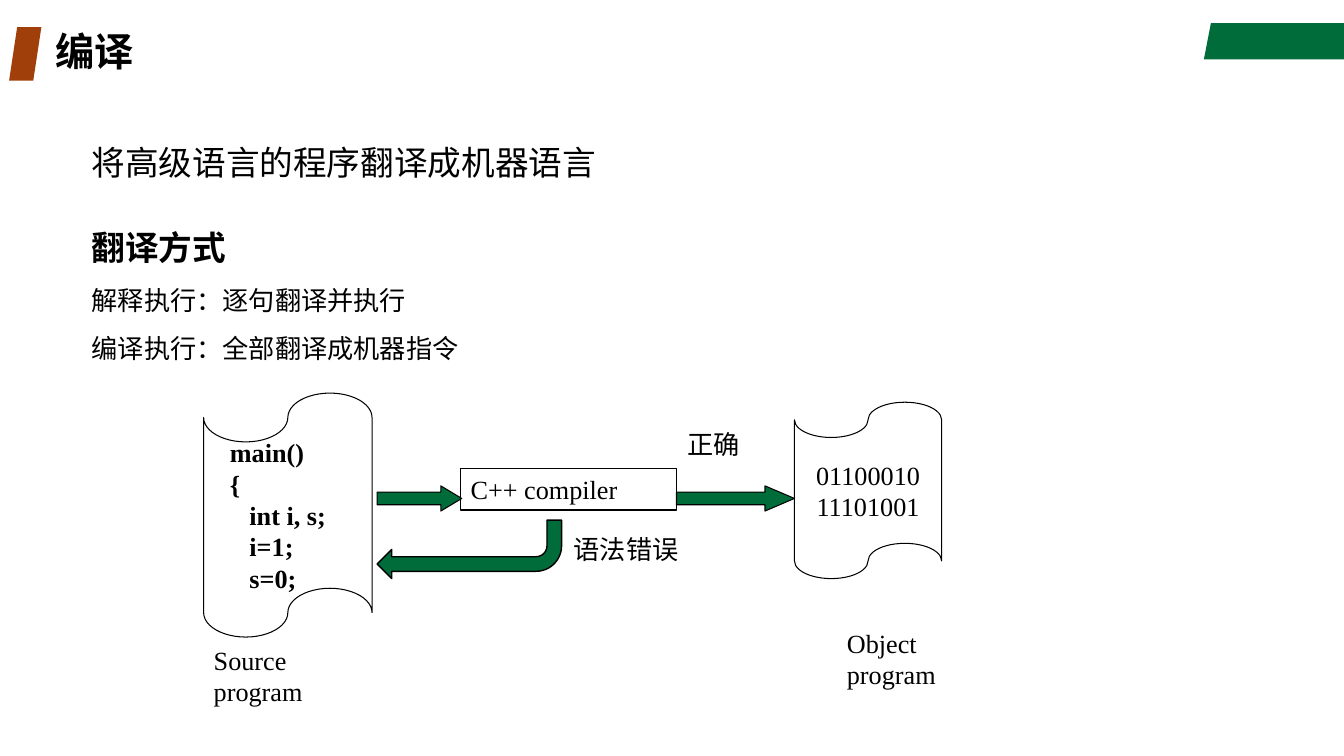
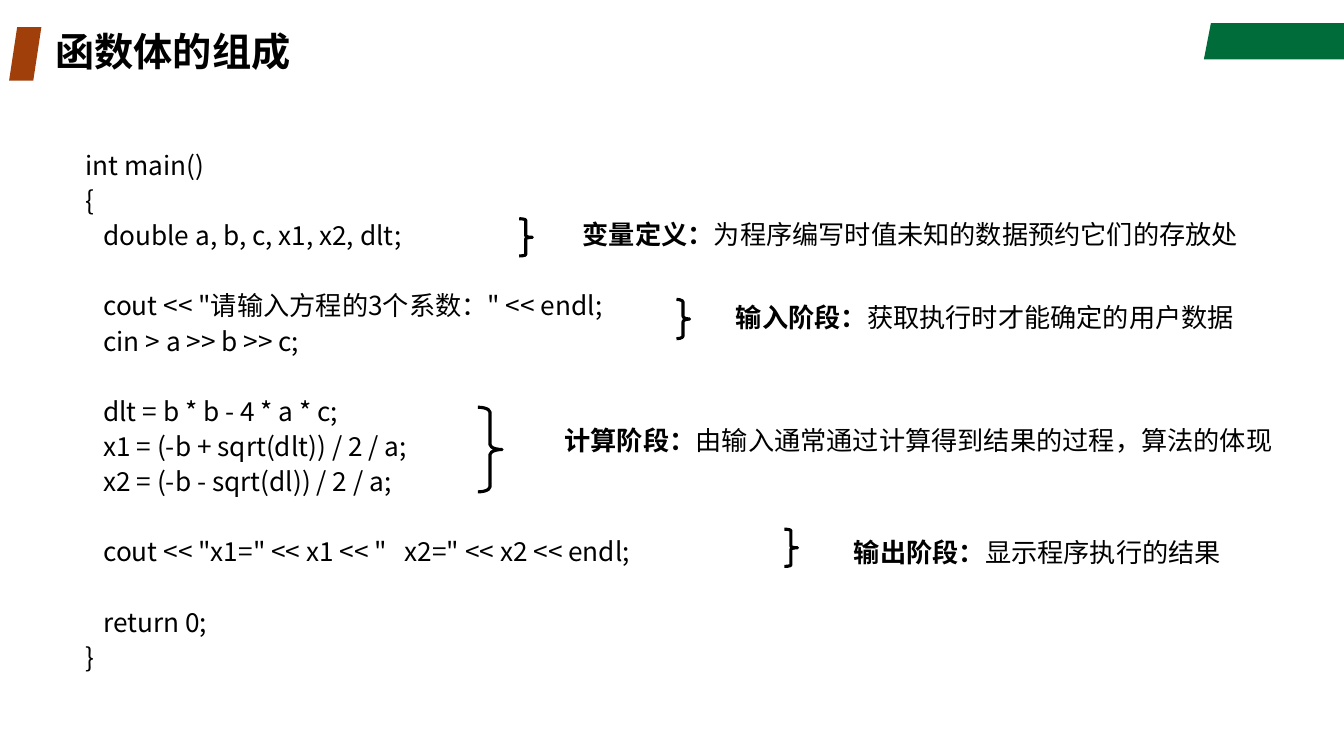
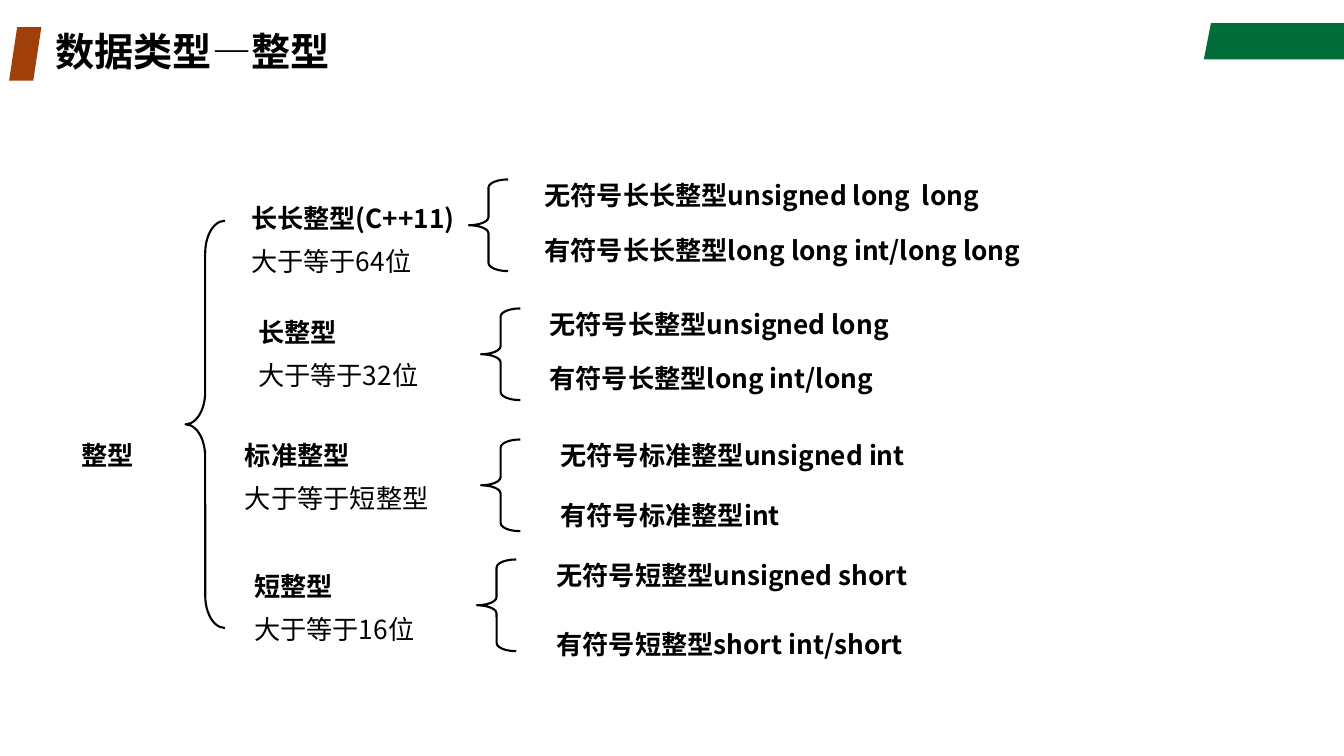
from dataclasses import dataclass

from lxml import etree
from pptx import Presentation
from pptx import util as u
from pptx.dml import color
from pptx.enum import shapes, text
from pptx.oxml import ns

SANS = "Noto Sans CJK SC"
SERIF = "Times New Roman"
BLACK = "000000"
GREEN = "006C39"
RUST = "A13F0B"
BODY_SIZE = 18.7
HEADING_SIZE = 24
Shape = shapes.MSO_SHAPE
Align = text.PP_ALIGN
Anchor = text.MSO_ANCHOR


@dataclass
class Box:
    left: float
    top: float
    width: float
    height: float

    def lengths(self):
        """Return the four sides as lengths."""
        return tuple(u.Inches(side) for side in (self.left, self.top, self.width, self.height))


@dataclass
class Line:
    text: str
    bold: bool = False
    tail: str = ""
    before: float = 0
    size: float = BODY_SIZE
    spacing: float | None = None


@dataclass
class Stage:
    label: str
    detail: str
    left: float
    top: float
    brace: Box
    curve: float


@dataclass
class IntegerKind:
    name: str
    size: str
    left: float
    top: float
    brace_left: float
    brace_top: float
    variants_left: float
    unsigned: str
    signed: str
    signed_top: float


STAGES = [
    Stage("变量定义：", "为程序编写时值未知的数据预约它们的存放处", 5.78, 2.17,
          Box(5.15, 2.17, 0.13, 0.37), 0.113),
    Stage("输入阶段：", "获取执行时才能确定的用户数据", 7.3, 2.99,
          Box(6.71, 2.97, 0.13, 0.39), 0.205),
    Stage("计算阶段：", "由输入通常通过计算得到结果的过程，算法的体现", 5.6, 4.21,
          Box(4.74, 4.04, 0.24, 0.84), 0.205),
    Stage("输出阶段：", "显示程序执行的结果", 8.47, 5.32,
          Box(7.78, 5.25, 0.13, 0.37), 0.113),
]

KINDS = [
    IntegerKind("长长整型(C++11)", "大于等于64位", 2.49, 2.01, 4.65, 1.78, 5.4,
                "无符号长长整型unsigned long  long", "有符号长长整型long long int/long long", 2.32),
    IntegerKind("长整型", "大于等于32位", 2.56, 3.14, 4.77, 3.06, 5.45,
                "无符号长整型unsigned long", "有符号长整型long int/long", 3.59),
    IntegerKind("标准整型", "大于等于短整型", 2.43, 4.36, 4.77, 4.36, 5.56,
                "无符号标准整型unsigned int", "有符号标准整型int", 4.95),
    IntegerKind("短整型", "大于等于16位", 2.52, 5.66, 4.73, 5.55, 5.52,
                "无符号短整型unsigned short", "有符号短整型short int/short", 6.23),
]

PROGRAM = """int main()
{
   double a, b, c, x1, x2, dlt;

   cout << "请输入方程的3个系数：" << endl;
   cin > a >> b >> c;

   dlt = b * b - 4 * a * c;
   x1 = (-b + sqrt(dlt)) / 2 / a;
   x2 = (-b - sqrt(dl)) / 2 / a;

   cout << "x1=" << x1 << "   x2=" << x2 << endl;

   return 0;
}"""


def rgb(value: str) -> color.RGBColor:
    """Turn a hex string into a colour."""
    return color.RGBColor.from_string(value)


def style_paragraph(paragraph, size: float, bold: bool | None, font_name: str) -> None:
    """Set the font of a whole paragraph, East Asian letters included."""
    font = paragraph.font
    font.size = u.Pt(size)
    font.bold = bold
    font.name = font_name
    font.color.rgb = rgb(BLACK)
    defaults = paragraph._p.pPr.find(ns.qn("a:defRPr"))
    etree.SubElement(defaults, ns.qn("a:ea"), typeface=font_name)


def write_lines(frame, lines: list[Line], font_name: str = SANS, align=Align.LEFT,
                anchor=Anchor.TOP, inset: float = 0) -> None:
    """Fill a text frame with one paragraph per line."""
    frame.word_wrap = True
    frame.auto_size = text.MSO_AUTO_SIZE.NONE
    frame.vertical_anchor = anchor
    frame.margin_left = u.Inches(inset)
    frame.margin_right = frame.margin_top = frame.margin_bottom = 0
    for index, line in enumerate(lines):
        paragraph = frame.add_paragraph() if index else frame.paragraphs[0]
        paragraph.alignment = align
        if line.before and index:
            paragraph.space_before = u.Pt(line.before)
        if line.spacing:
            paragraph.line_spacing = line.spacing
        head = paragraph.add_run()
        head.text = line.text
        if line.tail:
            head.font.bold = line.bold
            paragraph.add_run().text = line.tail
        style_paragraph(paragraph, line.size, line.bold and not line.tail, font_name)


def add_text(slide, box: Box, lines: list[Line], font_name: str = SANS) -> None:
    """Add a text box without insets."""
    write_lines(slide.shapes.add_textbox(*box.lengths()).text_frame, lines, font_name)


def paint(shape, fill: str | None, line: str | None = None, weight: float = 0.75) -> None:
    """Set fill and outline and remove the shadow."""
    shape.shadow.inherit = False
    if fill:
        shape.fill.solid()
        shape.fill.fore_color.rgb = rgb(fill)
    else:
        shape.fill.background()
    if line:
        shape.line.color.rgb = rgb(line)
        shape.line.width = u.Pt(weight)
    else:
        shape.line.fill.background()


def add_figure(slide, kind, box: Box, fill: str | None = None, line: str | None = BLACK,
               weight: float = 0.75, adjustments: tuple[float, ...] = ()):
    """Add a painted preset shape."""
    shape = slide.shapes.add_shape(kind, *box.lengths())
    for index, value in enumerate(adjustments):
        shape.adjustments[index] = value
    paint(shape, fill, line, weight)
    return shape


def add_titled_slide(presentation, title: str):
    """Add a slide with its title, corner band and title mark."""
    slide = presentation.slides.add_slide(presentation.slide_layouts[5])
    corners = [(u.Inches(x), u.Inches(y))
               for x, y in ((12.01, 0.23), (13.33, 0.23), (13.33, 0.59), (11.94, 0.59))]
    builder = slide.shapes.build_freeform(*corners[0])
    builder.add_line_segments(corners[1:], close=True)
    paint(builder.convert_to_shape(), GREEN)
    add_figure(slide, Shape.PARALLELOGRAM, Box(0.09, 0.27, 0.32, 0.53), RUST, None,
               adjustments=(0.25,))
    holder = slide.shapes.title
    holder.left, holder.top, holder.width, holder.height = Box(0.45, 0.27, 9.45, 0.53).lengths()
    write_lines(holder.text_frame, [Line(title, True, size=28, spacing=0.9)],
                anchor=Anchor.MIDDLE, inset=0.1)
    return slide


def build_compiling(presentation) -> None:
    """Draw the slide on compiling."""
    slide = add_titled_slide(presentation, "编译")
    add_text(slide, Box(0.91, 1.41, 9, 0.4),
             [Line("将高级语言的程序翻译成机器语言", size=HEADING_SIZE)])
    add_text(slide, Box(0.91, 2.21, 11.1, 1.4), [
        Line("翻译方式", True, size=HEADING_SIZE, spacing=1.1),
        Line("解释执行：逐句翻译并执行", before=10, spacing=1.1),
        Line("编译执行：全部翻译成机器指令", before=10, spacing=1.1),
    ])

    source = add_figure(slide, Shape.FLOWCHART_PUNCHED_TAPE, Box(2.02, 3.9, 1.67, 2.42))
    code = ["main()", "{", "   int i, s;", "   i=1;", "   s=0;"]
    write_lines(source.text_frame, [Line(row, True) for row in code], SERIF,
                anchor=Anchor.MIDDLE, inset=0.26)
    compiler = add_figure(slide, Shape.RECTANGLE, Box(4.57, 4.65, 2.14, 0.41))
    write_lines(compiler.text_frame, [Line("C++ compiler")], SERIF,
                anchor=Anchor.MIDDLE, inset=0.1)
    target = add_figure(slide, Shape.FLOWCHART_PUNCHED_TAPE, Box(7.88, 3.99, 1.46, 1.75))
    write_lines(target.text_frame, [Line("01100010"), Line("11101001")], SERIF,
                Align.CENTER, Anchor.MIDDLE)

    for left, width, head in ((3.74, 0.84, 0.833), (6.71, 1.17, 1.167)):
        add_figure(slide, Shape.RIGHT_ARROW, Box(left, 4.82, width, 0.25), GREEN,
                   adjustments=(0.5, head))
    error_arrow = add_figure(slide, Shape.BENT_ARROW, Box(3.74, 5.16, 1.83, 0.58), GREEN,
                             weight=1)
    error_arrow.rotation = 180

    for caption, left, top, font_name in (
            ("Source program", 2.12, 6.39, SERIF), ("Object program", 8.4, 6.22, SERIF),
            ("正确", 6.82, 4.25, SANS), ("语法错误", 5.69, 5.29, SANS)):
        add_text(slide, Box(left, top, 1.3, 0.63), [Line(caption)], font_name)


def build_function_body(presentation) -> None:
    """Draw the slide on the parts of a function body."""
    slide = add_titled_slide(presentation, "函数体的组成")
    lines = []
    before = 2.7
    for row in PROGRAM.splitlines():
        if row:
            lines.append(Line(row, before=before))
        before = 2.7 if row else 27.7
    add_text(slide, Box(0.85, 1.48, 10.8, 5.4), lines)
    for stage in STAGES:
        add_figure(slide, Shape.RIGHT_BRACE, stage.brace, weight=2.25,
                   adjustments=(stage.curve, 0.5))
        add_text(slide, Box(stage.left, stage.top, 13.1 - stage.left, 0.36),
                 [Line(stage.label, True, stage.detail)])


def build_integers(presentation) -> None:
    """Draw the slide on integer types."""
    slide = add_titled_slide(presentation, "数据类型—整型")
    add_text(slide, Box(0.81, 4.36, 1.23, 0.45), [Line("整型", True)])
    add_figure(slide, Shape.LEFT_BRACE, Box(1.84, 2.19, 0.39, 4.04), weight=1.5,
               adjustments=(0.824, 0.5))
    for kind in KINDS:
        add_text(slide, Box(kind.left, kind.top, 2.2, 0.75),
                 [Line(kind.name, True), Line(kind.size, before=8)])
        add_figure(slide, Shape.LEFT_BRACE, Box(kind.brace_left, kind.brace_top, 0.39, 0.91),
                   weight=1.5, adjustments=(0.207, 0.5))
        for variant, top in ((kind.unsigned, kind.brace_top), (kind.signed, kind.signed_top)):
            add_text(slide, Box(kind.variants_left, top, 5.25, 0.45), [Line(variant, True)])


def main() -> None:
    """Build and save the presentation."""
    presentation = Presentation()
    presentation.slide_width = u.Inches(13.33)
    presentation.slide_height = u.Inches(7.5)
    build_compiling(presentation)
    build_function_body(presentation)
    build_integers(presentation)
    presentation.save("out.pptx")


if __name__ == "__main__":
    main()
